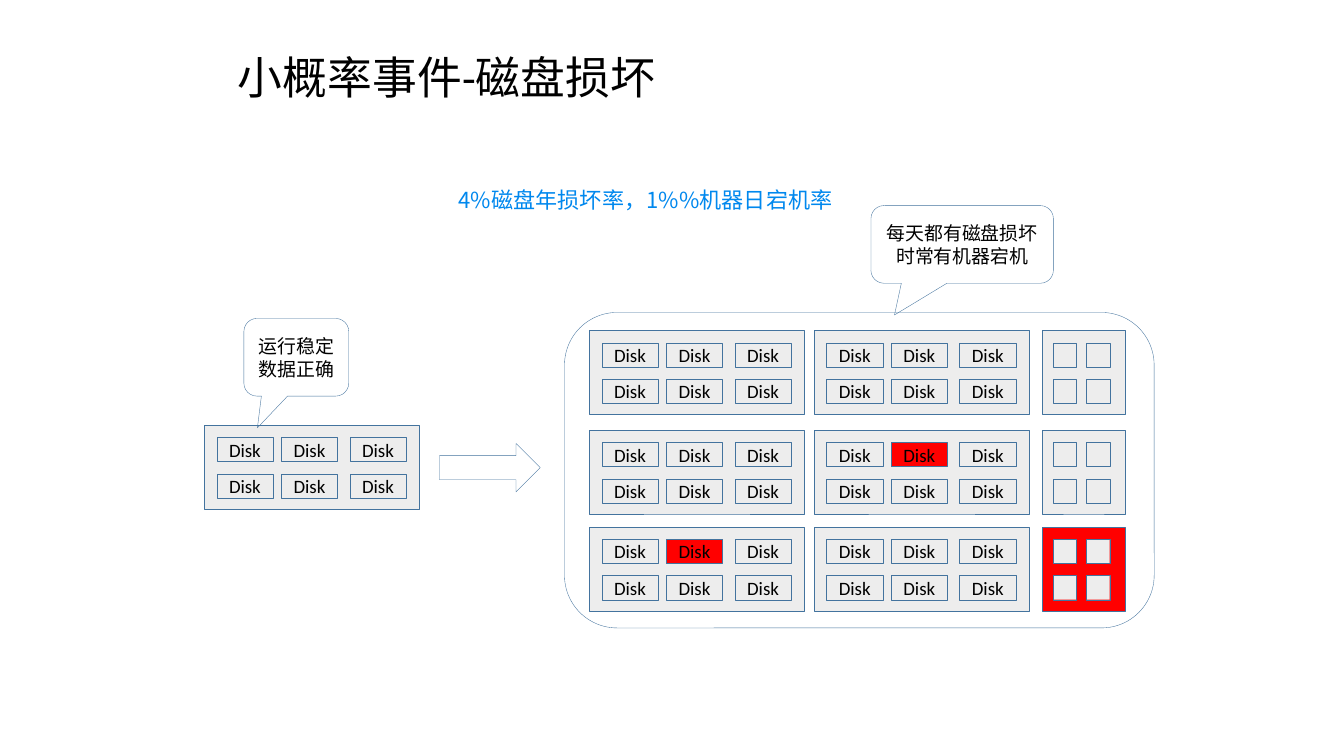
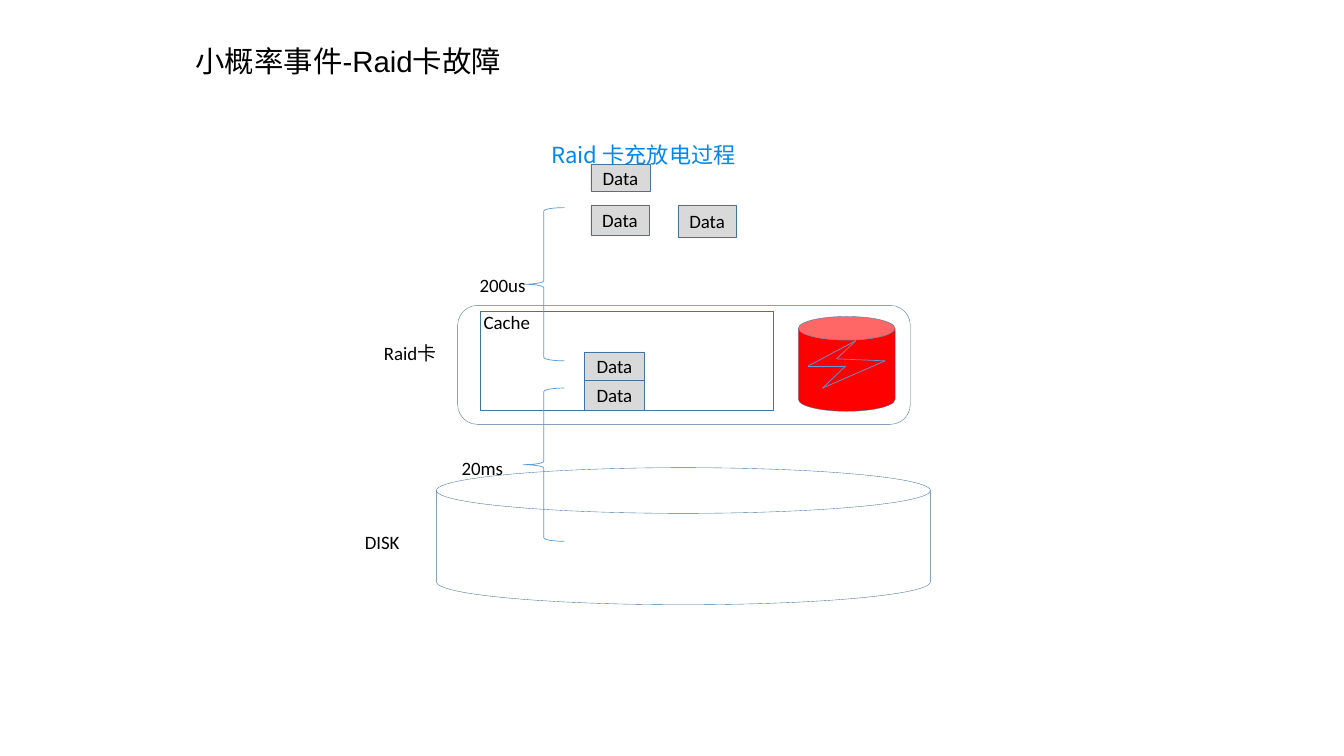
"""Build two slides on rare events in storage: disk damage and RAID card failure."""
from dataclasses import dataclass
from itertools import product

import lxml.etree
import pptx
import pptx.dml.color
import pptx.enum.shapes
import pptx.enum.text
import pptx.oxml.ns
import pptx.shapes.autoshape
import pptx.shapes.shapetree
import pptx.slide
import pptx.text.text
import pptx.util

RGBColor = pptx.dml.color.RGBColor
Shape = pptx.enum.shapes.MSO_SHAPE
Align = pptx.enum.text.PP_ALIGN
Anchor = pptx.enum.text.MSO_ANCHOR

BLACK = RGBColor(0x00, 0x00, 0x00)
OUTLINE = RGBColor(0x43, 0x73, 0x9E)
ACCENT = RGBColor(0x5B, 0x9B, 0xD5)
HEADING = RGBColor(0x00, 0x88, 0xEE)
MACHINE = RGBColor(0xED, 0xED, 0xED)
DATA = RGBColor(0xD9, 0xD9, 0xD9)
FAILED = RGBColor(0xFF, 0x00, 0x00)

LATIN_FONT = "Calibri"
CHINESE_FONT = "Noto Sans CJK SC"
LABEL_SIZE = 13.5
CELL = pptx.util.Inches(0.1)
SLIDE_COLUMNS, SLIDE_ROWS = 133.33, 75
CALLOUT_POINTER = (-0.371, 0.909, 0.167)

MACHINE_COLUMNS = (58.5, 80.8)
MACHINE_ROWS = (32.8, 42.7, 52.3)
SMALL_MACHINE_COLUMN = 103.4
DISK_COLUMNS = (1.2, 7.6, 14.4)
SMALL_DISK_COLUMNS = (1.1, 4.4)
DISK_ROWS = (1.2, 4.8)
FAILED_DISKS = {(0, 2), (1, 1)}
FAILED_MACHINE_ROW = 2


@dataclass(frozen=True)
class Box:
    """A rectangle in grid cells."""

    column: float
    row: float
    columns: float
    rows: float

    def place(self) -> tuple[int, int, int, int]:
        """Return left, top, width and height in slide units."""
        return tuple(cells(value) for value in (self.column, self.row, self.columns, self.rows))


def cells(count: float) -> int:
    """Convert grid cells to slide units."""
    return round(count * CELL)


def write_text(frame: pptx.text.text.TextFrame, text: str, *, size: float = LABEL_SIZE,
               font: str = LATIN_FONT, color: RGBColor = BLACK, align: Align = Align.LEFT,
               anchor: Anchor = Anchor.TOP, line_spacing: float = 1.0,
               insets: tuple[float, float] = (1, 0.5)) -> None:
    """Write one paragraph per line of text with the given format."""
    frame.word_wrap = True
    frame.auto_size = pptx.enum.text.MSO_AUTO_SIZE.NONE
    frame.vertical_anchor = anchor
    frame.margin_left = frame.margin_right = cells(insets[0])
    frame.margin_top = frame.margin_bottom = cells(insets[1])
    for index, line in enumerate(text.split("\n")):
        paragraph = frame.add_paragraph() if index else frame.paragraphs[0]
        paragraph.alignment = align
        paragraph.line_spacing = line_spacing
        run = paragraph.add_run()
        run.text = line
        run.font.size = pptx.util.Pt(size)
        run.font.name = font
        run.font.color.rgb = color
        east_asian = lxml.etree.SubElement(run.font._element, pptx.oxml.ns.qn("a:ea"))
        east_asian.set("typeface", CHINESE_FONT)


def add_shape(shapes: pptx.shapes.shapetree.GroupShapes, kind: Shape, box: Box, *,
              fill: RGBColor | None = None, line: RGBColor = OUTLINE, width: float = 0.25,
              text: str = "") -> pptx.shapes.autoshape.Shape:
    """Add an outlined shape with an optional fill and centred label."""
    shape = shapes.add_shape(kind, *box.place())
    shape.shadow.inherit = False
    if fill is None:
        shape.fill.background()
    else:
        shape.fill.solid()
        shape.fill.fore_color.rgb = fill
    shape.line.color.rgb = line
    shape.line.width = pptx.util.Pt(width)
    if text:
        write_text(shape.text_frame, text, align=Align.CENTER, anchor=Anchor.MIDDLE,
                   insets=(0.5, 0.5))
    return shape


def add_label(slide: pptx.slide.Slide, box: Box, text: str) -> None:
    """Add a plain text label."""
    write_text(slide.shapes.add_textbox(*box.place()).text_frame, text)


def add_heading(slide: pptx.slide.Slide, box: Box, text: str) -> None:
    """Add the blue heading above a diagram."""
    write_text(slide.shapes.add_textbox(*box.place()).text_frame, text, size=15.8,
               font=CHINESE_FONT, color=HEADING, line_spacing=1.5, insets=(0.7, 0.4))


def add_slide(presentation: pptx.presentation.Presentation, title: str, box: Box, *,
              size: float, font: str, insets: tuple[float, float]) -> pptx.slide.Slide:
    """Add a title-only slide and format its title."""
    slide = presentation.slides.add_slide(presentation.slide_layouts[5])
    placeholder = slide.shapes.title
    placeholder.left, placeholder.top, placeholder.width, placeholder.height = box.place()
    write_text(placeholder.text_frame, title, size=size, font=font, anchor=Anchor.MIDDLE,
               insets=insets)
    return slide


def add_callout(slide: pptx.slide.Slide, box: Box, text: str) -> None:
    """Add a rounded callout pointing down to the left."""
    callout = add_shape(slide.shapes, Shape.ROUNDED_RECTANGULAR_CALLOUT, box, text=text)
    for index, value in enumerate(CALLOUT_POINTER):
        callout.adjustments[index] = value


def add_machine(shapes: pptx.shapes.shapetree.GroupShapes, column: float, row: float,
                failed_disk: bool = False) -> None:
    """Add a machine with six disks, the upper middle one failed on request."""
    machine = shapes.add_group_shape().shapes
    add_shape(machine, Shape.RECTANGLE, Box(column, row, 21.3, 8.3), fill=MACHINE)
    for disk_row, disk_column in product(DISK_ROWS, DISK_COLUMNS):
        failed = failed_disk and (disk_row, disk_column) == (DISK_ROWS[0], DISK_COLUMNS[1])
        add_shape(machine, Shape.RECTANGLE, Box(column + disk_column, row + disk_row, 5.6, 2.4),
                  fill=FAILED if failed else None, text="Disk")


def add_small_machine(shapes: pptx.shapes.shapetree.GroupShapes, column: float, row: float,
                      failed: bool) -> None:
    """Add a machine with four unlabelled disks."""
    machine = shapes.add_group_shape().shapes
    add_shape(machine, Shape.RECTANGLE, Box(column, row, 8.2, 8.3),
              fill=FAILED if failed else MACHINE)
    for disk_column, disk_row in product(SMALL_DISK_COLUMNS, DISK_ROWS):
        add_shape(machine, Shape.RECTANGLE, Box(column + disk_column, row + disk_row, 2.3, 2.4),
                  fill=MACHINE)


def add_lightning(shapes: pptx.shapes.shapetree.GroupShapes) -> None:
    """Draw a lightning bolt as a closed chain of lines."""
    corners = ((80.2, 36.3), (84.9, 33.8), (83, 35.6), (87.8, 35.8), (81.6, 38.5), (83.9, 36.3))
    for start, end in zip(corners, corners[1:] + corners[:1]):
        edge = shapes.add_connector(pptx.enum.shapes.MSO_CONNECTOR.STRAIGHT,
                                    *map(cells, start + end))
        edge.line.color.rgb = ACCENT
        edge.line.width = pptx.util.Pt(0.5)
        lxml.etree.SubElement(edge._element.spPr, pptx.oxml.ns.qn("a:effectLst"))


def build_disk_slide(presentation: pptx.presentation.Presentation) -> None:
    """Compare one machine with a cluster where disks fail daily."""
    slide = add_slide(presentation, "小概率事件-磁盘损坏", Box(22.6, 4.4, 79.5, 6.4),
                      size=32, font=LATIN_FONT, insets=(1, 0.5))
    add_heading(slide, Box(44.8, 16.8, 41.6, 4.7), "4%磁盘年损坏率，1%%机器日宕机率")
    add_machine(slide.shapes, 20.3, 42.2)
    add_callout(slide, Box(24.2, 31.6, 10.4, 7.7), "运行稳定\n数据正确")
    add_shape(slide.shapes, Shape.RIGHT_ARROW, Box(43.6, 44, 10, 4.8))
    cluster = slide.shapes.add_group_shape().shapes
    add_shape(cluster, Shape.ROUNDED_RECTANGLE, Box(56, 31, 58.5, 31.3))
    for row_index, row in enumerate(MACHINE_ROWS):
        for column_index, column in enumerate(MACHINE_COLUMNS):
            add_machine(cluster, column, row, (column_index, row_index) in FAILED_DISKS)
        add_small_machine(cluster, SMALL_MACHINE_COLUMN, row, row_index == FAILED_MACHINE_ROW)
    add_callout(slide, Box(86.4, 20.4, 18.1, 7.7), "每天都有磁盘损坏\n时常有机器宕机")


def build_raid_slide(presentation: pptx.presentation.Presentation) -> None:
    """Show data moving through the RAID card cache to the disk."""
    slide = add_slide(presentation, "小概率事件-Raid卡故障", Box(18.7, 2.7, 85, 6.6),
                      size=21, font="Arial", insets=(0.7, 0.4))
    shapes = slide.shapes
    add_shape(shapes, Shape.FLOWCHART_MAGNETIC_DISK, Box(43.3, 46.4, 49, 13.6))
    add_shape(shapes, Shape.ROUNDED_RECTANGLE, Box(45.4, 30.3, 44.9, 11.8))
    add_shape(shapes, Shape.RECTANGLE, Box(47.6, 30.9, 29.1, 9.8))
    battery = shapes.add_group_shape().shapes
    add_shape(battery, Shape.CAN, Box(79.2, 31.4, 9.6, 9.4), fill=FAILED)
    add_lightning(battery)
    for box in (Box(58.6, 16.3, 5.9, 2.7), Box(58.6, 20.4, 5.8, 2.9), Box(67.3, 20.4, 5.7, 3.1),
                Box(58, 34.9, 5.9, 2.8), Box(58, 37.7, 5.9, 3)):
        add_shape(shapes, Shape.RECTANGLE, box, fill=DATA, text="Data")
    for row in (20.6, 38.5):
        add_shape(shapes, Shape.LEFT_BRACE, Box(51.9, row, 4.1, 15.2), line=ACCENT, width=0.5)
    for column, row, width, text in ((37.1, 33.4, 7.5, "Raid卡"), (47, 30.3, 7.6, "Cache"),
                                     (46.6, 26.7, 7.1, "200us"), (44.8, 44.8, 7.1, "20ms"),
                                     (35.2, 52.2, 7.5, "DISK")):
        add_label(slide, Box(column, row, width, 3.3), text)
    add_heading(slide, Box(54, 12.3, 22.3, 4.7), "Raid 卡充放电过程")


def main() -> None:
    """Build and save the presentation."""
    presentation = pptx.Presentation()
    presentation.slide_width = cells(SLIDE_COLUMNS)
    presentation.slide_height = cells(SLIDE_ROWS)
    build_disk_slide(presentation)
    build_raid_slide(presentation)
    presentation.save("out.pptx")


if __name__ == "__main__":
    main()
